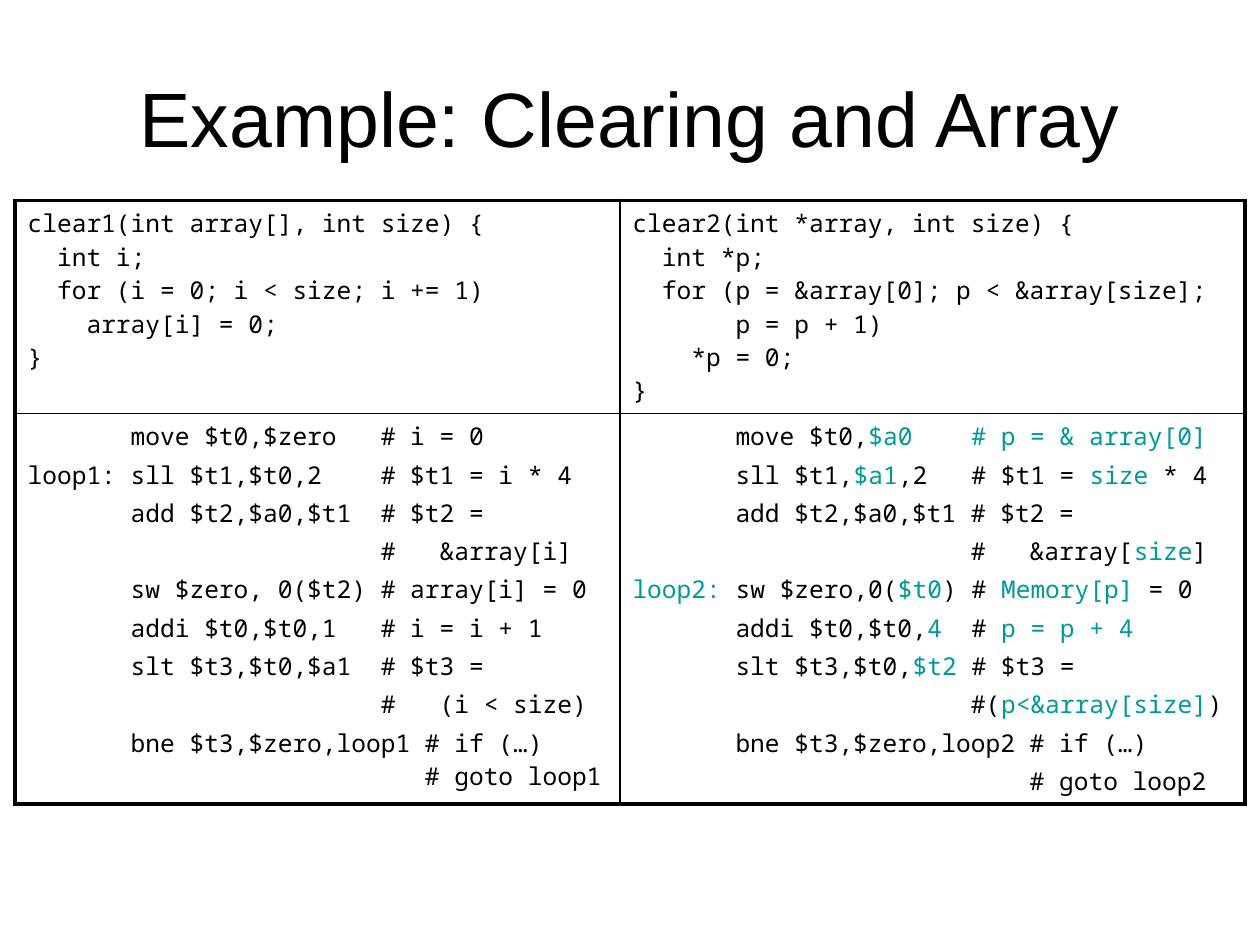
from lxml import etree
from pptx import Presentation
from pptx import util as u
from pptx.dml.color import RGBColor
from pptx.enum import text
from pptx.oxml import ns

COLORS = {"ink": "000000", "accent": "009999", "paper": "FFFFFF"}
TITLE = "Example: Clearing and Array"
ACCENT_MARK = "~"

C_CODE = [
    [
        "clear1(int array[], int size) {",
        "  int i;",
        "  for (i = 0; i < size; i += 1)",
        "    array[i] = 0;",
        "}",
    ],
    [
        "clear2(int *array, int size) {",
        "  int *p;",
        "  for (p = &array[0]; p < &array[size];",
        "       p = p + 1)",
        "    *p = 0;",
        "}",
    ],
]
ASSEMBLY = [
    [
        "       move $t0,$zero   # i = 0",
        "loop1: sll $t1,$t0,2    # $t1 = i * 4",
        "       add $t2,$a0,$t1  # $t2 =",
        "                        #   &array[i]",
        "       sw $zero, 0($t2) # array[i] = 0",
        "       addi $t0,$t0,1   # i = i + 1",
        "       slt $t3,$t0,$a1  # $t3 =",
        "                        #   (i < size)",
        "       bne $t3,$zero,loop1 # if (…)\n                           # goto loop1",
    ],
    [
        "       move $t0,~$a0    # p = & array[0]~",
        "       sll $t1,~$a1~,2   # $t1 = ~size~ * 4",
        "       add $t2,$a0,$t1 # $t2 =",
        "                       #   &array[~size~]",
        "~loop2:~ sw $zero,0(~$t0~) # ~Memory[p]~ = 0",
        "       addi $t0,$t0,~4~  # ~p = p + 4~",
        "       slt $t3,$t0,~$t2~ # $t3 =",
        "                       #(~p<&array[size]~)",
        "       bne $t3,$zero,loop2 # if (…)",
        "                           # goto loop2",
    ],
]
ROWS = [(C_CODE, 1.69, 0), (ASSEMBLY, 3.1, 2.8)]
COL_WIDTHS = [4.8, 4.96]
OUTER, INNER = 2.25, 1


def add_run(p, words, font, size, color):
    r = p.add_run()
    r.text = words
    r.font.name = font
    r.font.size = u.Pt(size)
    r.font.color.rgb = RGBColor.from_string(COLORS[color])


def add_code_line(p, line, space_before):
    p.space_before = u.Pt(space_before)
    for n, part in enumerate(line.split("\n")):
        if n:
            p.add_line_break()
        for i, words in enumerate(part.split(ACCENT_MARK)):
            if words:
                add_run(p, words, "Noto Sans Mono", 14, "accent" if i % 2 else "ink")


def set_borders(cell, widths):
    props = cell._tc.get_or_add_tcPr()
    for n, (side, width) in enumerate(widths.items()):
        ln = etree.Element(ns.qn(f"a:ln{side}"), w=str(u.Pt(width)))
        fill = etree.SubElement(ln, ns.qn("a:solidFill"))
        etree.SubElement(fill, ns.qn("a:srgbClr"), val=COLORS["ink"])
        props.insert(n, ln)


def add_title(s):
    sp = s.shapes.add_textbox(u.Inches(0.5), u.Inches(0.3), u.Inches(9), u.Inches(1.25))
    tf = sp.text_frame
    tf.word_wrap = True
    tf.vertical_anchor = text.MSO_ANCHOR.MIDDLE
    p = tf.paragraphs[0]
    p.alignment = text.PP_ALIGN.CENTER
    add_run(p, TITLE, "Arial", 44, "ink")


def add_code_table(s):
    height = sum(row[1] for row in ROWS)
    table = s.shapes.add_table(
        len(ROWS), len(COL_WIDTHS), u.Inches(0.12), u.Inches(1.59),
        u.Inches(sum(COL_WIDTHS)), u.Inches(height),
    ).table
    table.first_row = table.horz_banding = False
    for col, width in zip(table.columns, COL_WIDTHS):
        col.width = u.Inches(width)
    last_row, last_col = len(ROWS) - 1, len(COL_WIDTHS) - 1
    for i, (listings, row_height, space_before) in enumerate(ROWS):
        table.rows[i].height = u.Inches(row_height)
        for j, lines in enumerate(listings):
            cell = table.cell(i, j)
            cell.fill.solid()
            cell.fill.fore_color.rgb = RGBColor.from_string(COLORS["paper"])
            set_borders(cell, {
                "L": INNER if j else OUTER,
                "R": OUTER if j == last_col else INNER,
                "T": INNER if i else OUTER,
                "B": OUTER if i == last_row else INNER,
            })
            tf = cell.text_frame
            for n, line in enumerate(lines):
                p = tf.add_paragraph() if n else tf.paragraphs[0]
                add_code_line(p, line, space_before)


def main():
    prs = Presentation()
    prs.slide_width, prs.slide_height = u.Inches(10), u.Inches(7.5)
    s = prs.slides.add_slide(prs.slide_layouts[6])
    add_title(s)
    add_code_table(s)
    prs.save("out.pptx")


if __name__ == "__main__":
    main()
